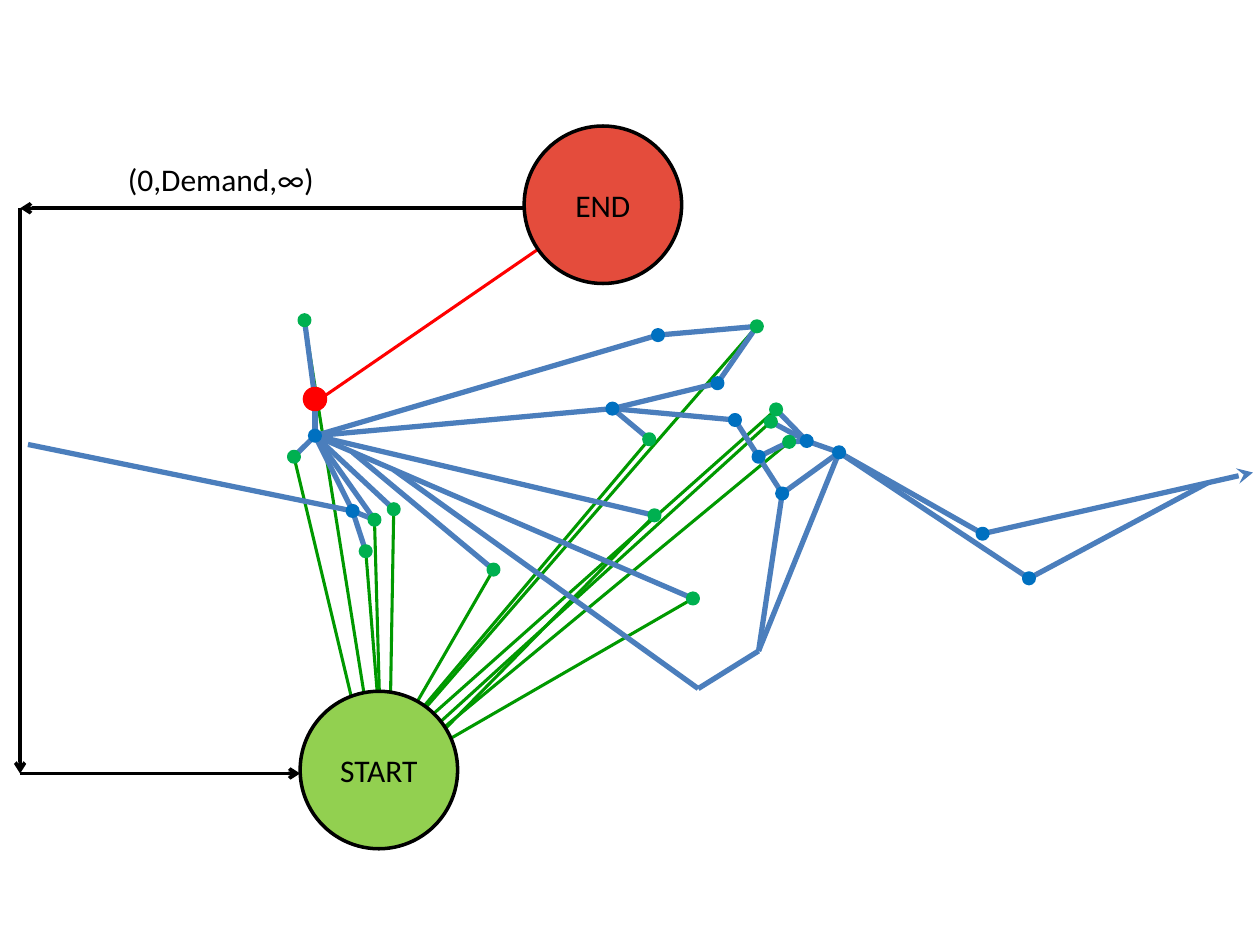
from pptx import Presentation
from pptx.util import Pt
from pptx.dml.color import RGBColor as RGB
from pptx.enum.shapes import MSO_CONNECTOR as Link, MSO_SHAPE as Shape
from pptx.enum.text import MSO_ANCHOR as Anchor, PP_ALIGN as Align
from pptx.oxml.ns import qn
from lxml.etree import SubElement as Sub

BLACK = RGB(0x00, 0x00, 0x00)
PIPE = RGB(0x4B, 0x7E, 0xBC)
BLUE = RGB(0x00, 0x70, 0xC0)
GREEN = RGB(0x00, 0xB0, 0x50)
RED = RGB(0xFF, 0x00, 0x00)
FLOW = RGB(0x00, 0x99, 0x00)
LIME = RGB(0x92, 0xD0, 0x50)
CORAL = RGB(0xE4, 0x4C, 0x3C)

SINKS = {
    "top": (158, 3), "west": (152, 81), "near": (209, 111),
    "mid": (198, 117), "low": (193, 135), "south": (266, 145.5),
    "fan": (358, 114.5), "deep": (380, 162), "inner": (355, 71),
    "peak": (416.5, 6.5), "high": (427.5, 54), "next": (424.5, 61),
    "east": (435, 72.5),
}
JOINTS = {
    "hub": (164, 69), "bend": (185.5, 112), "split": (334, 53.5),
    "rise": (394, 39), "crest": (360, 11.5), "turn": (404, 60),
    "knot": (417.5, 81), "drop": (431, 102), "cross": (445, 72),
    "gate": (463.5, 78.5), "upper": (545.5, 125), "lower": (572, 150.5),
}
CORNERS = {
    "source": (164, 48), "inlet": (0, 74), "join": (185.5, 78.5),
    "fork": (209, 88.5), "base": (383, 213.5), "foot": (417.5, 192),
    "merge": (674, 96), "out": (700, 90),
}
NODES = SINKS | JOINTS | CORNERS

PIPES = [
    "top source hub west", "hub near", "hub mid", "hub bend low",
    "inlet bend mid", "join south", "fork base foot gate", "hub deep",
    "hub fan", "hub crest peak rise split hub", "inner split turn knot drop",
    "foot drop gate", "knot east cross gate", "high cross", "next cross",
    "gate upper", "gate lower merge",
]
FEEDS = {
    "top": (-1.5, 0), "west": (-8.5, -11.5), "near": (6, -3),
    "mid": (1.5, -1), "low": (1.5, -14.5), "south": (0, -1),
    "fan": (6.5, 8.5), "deep": (15, -3), "inner": (-5, 0),
    "peak": (-1.5, -3), "high": (-5, 0), "next": (6, -1), "east": (9, -1),
}


def shift(spot, left, top):
    return spot[0] + left, spot[1] + top


def add_line(slide, start, end, color, width, tip=None):
    line = slide.shapes.add_connector(Link.STRAIGHT, *map(Pt, start + end))
    line.line.color.rgb = color
    line.line.width = Pt(width)
    if tip:
        Sub(line.line._get_or_add_ln(), qn("a:tailEnd"), type=tip)
    Sub(line._element.spPr, qn("a:effectLst"))


def add_disc(slide, center, size, fill, edge):
    left, top = shift(center, -size / 2, -size / 2)
    disc = slide.shapes.add_shape(Shape.OVAL, Pt(left), Pt(top), Pt(size), Pt(size))
    disc.shadow.inherit = False
    disc.fill.solid()
    disc.fill.fore_color.rgb = fill
    disc.line.color.rgb = edge
    disc.line.width = Pt(2)
    return disc


def style(para):
    for run in para.runs:
        run.font.name = "Calibri"
        run.font.size = Pt(18)
        run.font.color.rgb = BLACK


def add_stop(slide, center, text, fill):
    frame = add_disc(slide, center, 90, fill, BLACK).text_frame
    frame.text = text
    frame.vertical_anchor = Anchor.MIDDLE
    frame.margin_left = frame.margin_right = 0
    frame.paragraphs[0].alignment = Align.CENTER
    style(frame.paragraphs[0])


def add_flows(slide, left, top, start, end):
    for name, offset in FEEDS.items():
        add_line(slide, shift(offset, *start), shift(NODES[name], left, top), FLOW, 1.75)
    add_line(slide, shift(NODES["source"], left + 3, top), end, RED, 1.75)
    add_stop(slide, start, "START", LIME)
    add_stop(slide, end, "END", CORAL)


def add_net(slide, left, top):
    spots = {name: shift(spot, left, top) for name, spot in NODES.items()}
    for pipe in PIPES:
        names = pipe.split()
        for start, end in zip(names, names[1:]):
            add_line(slide, spots[start], spots[end], PIPE, 3)
    add_line(slide, spots["upper"], spots["out"], PIPE, 3, "stealth")
    for group, color in ((SINKS, GREEN), (JOINTS, BLUE)):
        for name in group:
            add_disc(slide, spots[name], 6, color, color)
    add_disc(slide, spots["source"], 12, RED, RED)


def add_loop(slide, left, top, start, end):
    height = start[1] + 2 - top
    turns = [(end[0] - 45, top), (left, top), (left, top + height),
             (start[0] - 45, top + height)]
    for a, b in zip(turns, turns[1:]):
        add_line(slide, a, b, BLACK, 2, "arrow")
    label = slide.shapes.add_textbox(Pt(left + 54.5), Pt(top - 31), Pt(124.5), Pt(29))
    frame = label.text_frame
    frame.word_wrap = False
    frame.text = "(0,Demand,∞)"
    style(frame.paragraphs[0])


def main():
    deck = Presentation()
    deck.slide_width, deck.slide_height = Pt(720), Pt(540)
    slide = deck.slides.add_slide(deck.slide_layouts[6])
    start, end = (216.5, 440), (344.5, 117)
    add_flows(slide, 16, 180, start, end)
    add_net(slide, 16, 180)
    add_loop(slide, 11.5, 119, start, end)
    deck.save("out.pptx")


if __name__ == "__main__":
    main()
